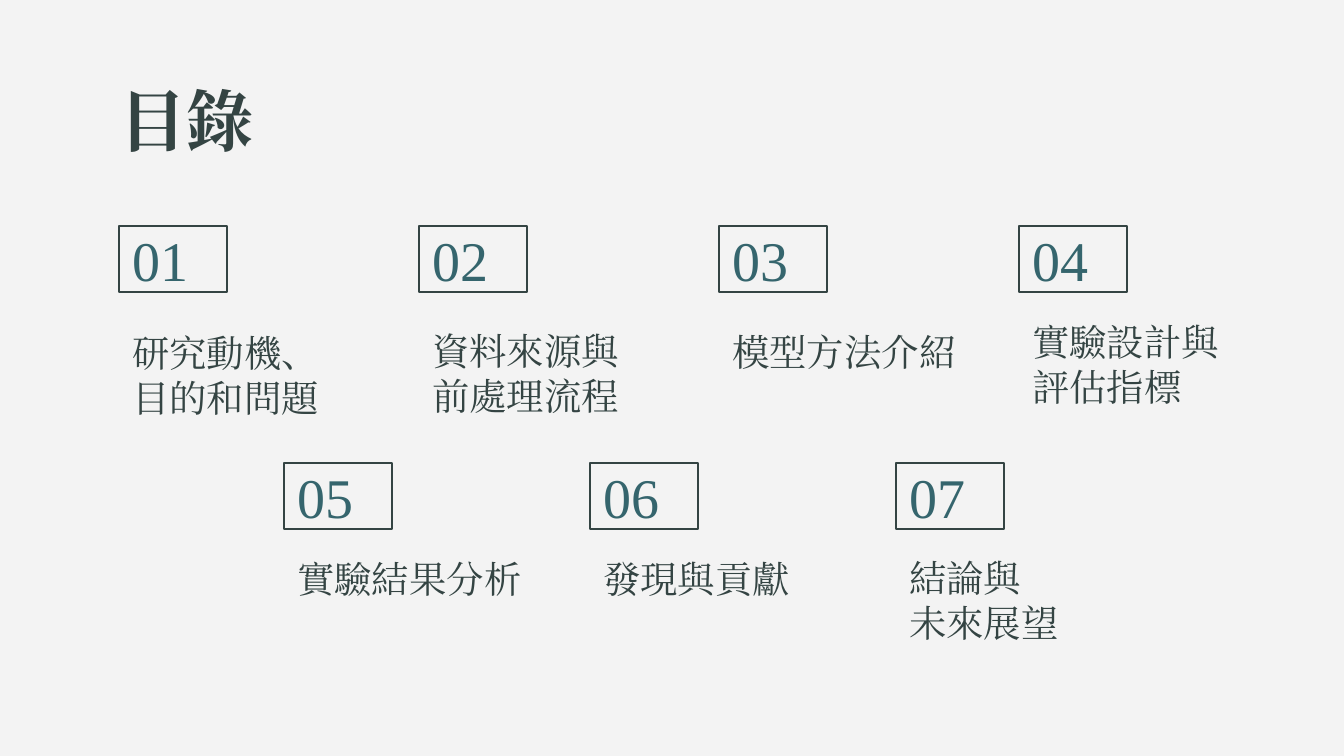
from lxml import etree
from pptx import Presentation
from pptx.dml.color import RGBColor
from pptx.enum.shapes import MSO_SHAPE as Shape
from pptx.enum.text import MSO_ANCHOR as Anchor, PP_ALIGN as Align
from pptx.oxml.ns import qn
from pptx.util import Emu, Inches, Pt

BACKGROUND = RGBColor(0xF3, 0xF3, 0xF3)
INK = RGBColor(0x34, 0x44, 0x43)
TEAL = RGBColor(0x35, 0x65, 0x6D)
FONT = "Times New Roman"

EMU_PER_PX = 914400 / 134.4
BOX_WIDTH, BOX_HEIGHT = 108, 66
LINE_HEIGHT = 44

# Each row: first left, step, box top, and per entry the label top and width
ROWS = [
    (119, 300, 226, [
        ("研究動機、\n目的和問題", 323, 218),
        ("資料來源與\n前處理流程", 321, 218),
        ("模型方法介紹", 321, 254),
        ("實驗設計與\n評估指標", 312, 218),
    ]),
    (284, 306, 463, [
        ("實驗結果分析", 548, 254),
        ("發現與貢獻", 548, 218),
        ("結論與\n未來展望", 548, 181),
    ]),
]


def px(value):
    return Emu(round(value * EMU_PER_PX))


def set_text(shape, text, size, color, anchor, bold=False):
    frame = shape.text_frame
    frame.word_wrap = True
    frame.vertical_anchor = anchor
    frame.margin_left = frame.margin_right = Inches(0.1)
    frame.margin_top = frame.margin_bottom = Inches(0.1)
    frame.text = text
    for paragraph in frame.paragraphs:
        paragraph.alignment = Align.LEFT
        for run in paragraph.runs:
            font = run.font
            font.name = FONT
            font.size = Pt(size)
            font.bold = bold
            font.color.rgb = color
            # East Asian characters take the same typeface
            east_asian = etree.SubElement(run._r.get_or_add_rPr(), qn("a:ea"))
            east_asian.set("typeface", FONT)


def add_text(slide, text, left, top, width, height, size, anchor, bold=False):
    shape = slide.shapes.add_textbox(px(left), px(top), px(width), px(height))
    set_text(shape, text, size, INK, anchor, bold)


def add_number_box(slide, number, left, top):
    shape = slide.shapes.add_shape(
        Shape.RECTANGLE, px(left), px(top), px(BOX_WIDTH), px(BOX_HEIGHT))
    shape.shadow.inherit = False
    shape.fill.background()
    shape.line.color.rgb = INK
    shape.line.width = Pt(0.75)
    set_text(shape, f"{number:02d}", 30, TEAL, Anchor.MIDDLE)


def main():
    presentation = Presentation()
    presentation.slide_width = px(1344)
    presentation.slide_height = px(756)
    slide = presentation.slides.add_slide(presentation.slide_layouts[6])
    slide.background.fill.solid()
    slide.background.fill.fore_color.rgb = BACKGROUND

    # Title
    add_text(slide, "目錄", 106, 66, 1133, 85, 36, Anchor.TOP, bold=True)

    # Numbered contents
    number = 1
    for first_left, step, box_top, entries in ROWS:
        for column, (label, label_top, width) in enumerate(entries):
            left = first_left + column * step
            height = 22 + LINE_HEIGHT * len(label.split("\n"))
            add_number_box(slide, number, left, box_top)
            add_text(slide, label, left, label_top, width, height, 20, Anchor.BOTTOM)
            number += 1

    presentation.save("out.pptx")


if __name__ == "__main__":
    main()
